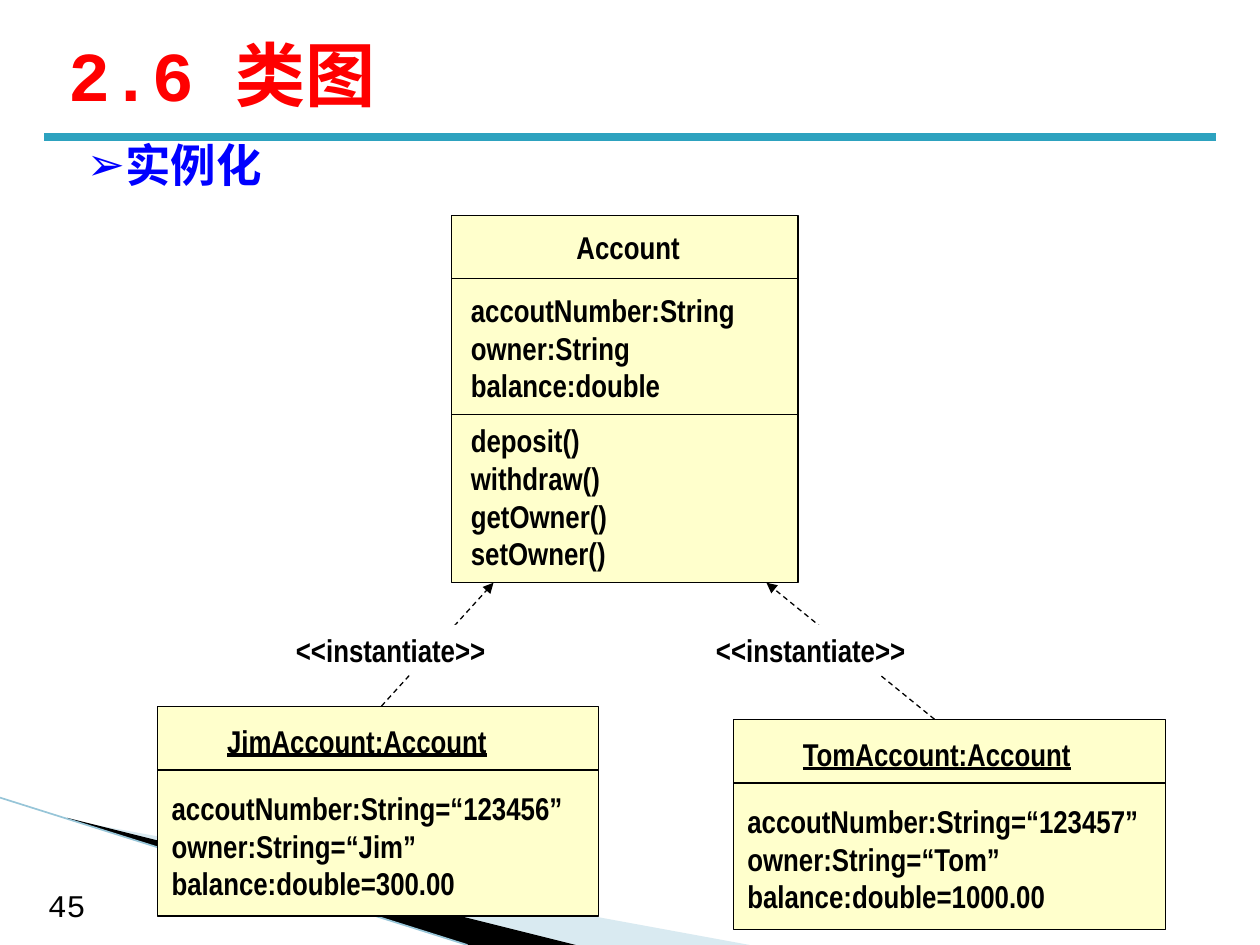
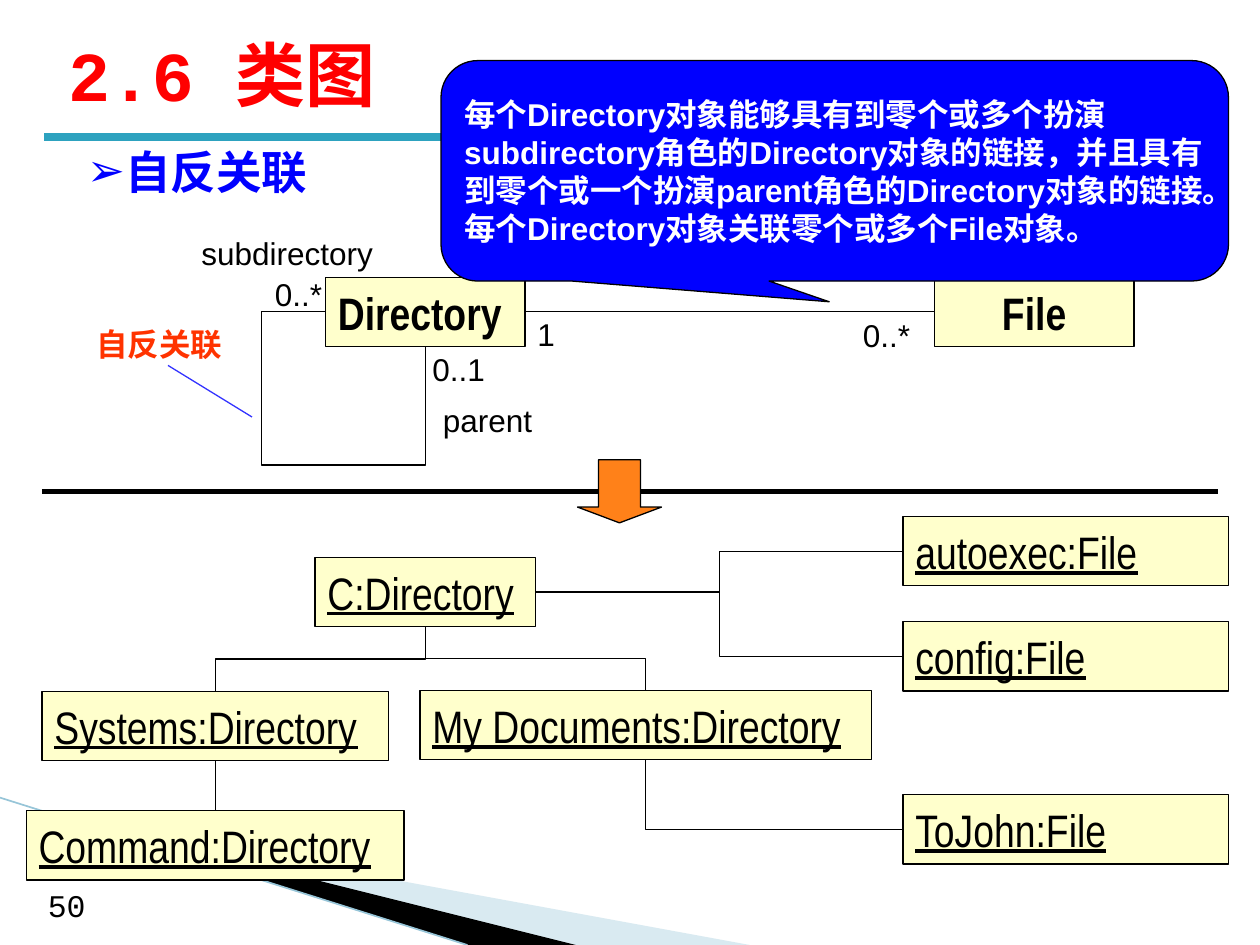
from dataclasses import dataclass

from lxml import etree
from pptx import Presentation
from pptx import util as u
from pptx.dml.color import RGBColor
from pptx.enum import dml, shapes, text
from pptx.oxml.ns import qn

COLORS = {
    "title": "FF0000", "topic": "0000FF", "rule": "2DA2BF", "ink": "000000",
    "paper": "FFFFFF", "box": "FFFFCC", "swoosh": "A0CBDC", "edge": "97C5D8",
    "note": "FF3300", "pointer": "3333FF", "arrow": "FF8119", "callout": "0000FF",
}
SANS, NARROW, MONO = "Arial", "Arial Narrow", "Courier New"
TOP, LEFT, BOTTOM, RIGHT = range(4)
STRAIGHT, ELBOW = shapes.MSO_CONNECTOR.STRAIGHT, shapes.MSO_CONNECTOR.ELBOW
RECT = shapes.MSO_SHAPE.RECTANGLE


@dataclass(frozen=True)
class Style:
    size: float
    font: str = SANS
    color: str = "ink"
    bold: bool = False
    underline: bool = False


@dataclass(frozen=True)
class Section:
    rule: float
    gap: float
    lines: tuple[str, ...]


@dataclass(frozen=True)
class ClassBox:
    left: float
    top: float
    width: float
    height: float
    name: str
    name_offset: tuple[float, float]
    name_width: float
    indent: float
    sections: tuple[Section, ...]
    instance: bool = True


@dataclass(frozen=True)
class Node:
    name: str
    left: float
    top: float
    width: float


@dataclass(frozen=True)
class Label:
    words: str
    left: float
    top: float
    width: float
    style: Style = Style(18)


@dataclass(frozen=True)
class Link:
    begin: str
    begin_side: int
    end: str
    end_side: int
    preset: str = "bentConnector3"
    adjust: tuple[float, ...] = (0.5,)


MEMBER = Style(18, NARROW, bold=True)
CLASS_NAME = Style(26, NARROW, bold=True)
OBJECT_NAME = Style(26, NARROW, underline=True)
NODE_HEIGHT = 39.6


def rgb(name: str) -> RGBColor:
    return RGBColor.from_string(COLORS[name])


def write(frame, lines: tuple[str, ...], style: Style, align=text.PP_ALIGN.LEFT,
          anchor=text.MSO_ANCHOR.TOP) -> None:
    frame.text = "\n".join(lines)
    frame.word_wrap = True
    frame.auto_size = text.MSO_AUTO_SIZE.NONE
    frame.vertical_anchor = anchor
    for paragraph in frame.paragraphs:
        paragraph.alignment = align
        paragraph.space_before = u.Pt(0)
        for run in paragraph.runs:
            run.font.size = u.Pt(style.size)
            run.font.name = style.font
            run.font.bold = style.bold
            run.font.underline = style.underline
            run.font.color.rgb = rgb(style.color)


def place(shape, left: float, top: float, width: float, height: float) -> None:
    shape.left, shape.top = u.Pt(left), u.Pt(top)
    shape.width, shape.height = u.Pt(width), u.Pt(height)


def add_text(slide, left: float, top: float, width: float, lines: tuple[str, ...],
             style: Style, align=text.PP_ALIGN.LEFT):
    height = 7.2 + 1.2 * style.size * len(lines)
    words = slide.shapes.add_textbox(u.Pt(left), u.Pt(top), u.Pt(width), u.Pt(height))
    write(words.text_frame, lines, style, align)
    return words


def add_block(slide, kind, left: float, top: float, width: float, height: float, fill: str):
    block = slide.shapes.add_shape(kind, u.Pt(left), u.Pt(top), u.Pt(width), u.Pt(height))
    block.shadow.inherit = False
    block.fill.solid()
    block.fill.fore_color.rgb = rgb(fill)
    block.line.color.rgb = rgb("ink")
    block.line.width = u.Pt(0.75)
    return block


def add_line(slide, x1: float, y1: float, x2: float, y2: float, color: str = "ink",
             weight: float = 0.75, kind=STRAIGHT):
    line = slide.shapes.add_connector(kind, u.Pt(x1), u.Pt(y1), u.Pt(x2), u.Pt(y2))
    line.line.color.rgb = rgb(color)
    line.line.width = u.Pt(weight)
    etree.SubElement(line.element.spPr, qn("a:effectLst"))
    return line


def add_dependency(slide, x1: float, y1: float, x2: float, y2: float) -> None:
    arrow = add_line(slide, x1, y1, x2, y2)
    arrow.line.dash_style = dml.MSO_LINE.DASH
    head = etree.SubElement(arrow.element.spPr.find(qn("a:ln")), qn("a:tailEnd"))
    head.set("type", "triangle")


def add_link(slide, nodes: dict, link: Link) -> None:
    straight = link.preset == "line"
    line = add_line(slide, 0, 0, 1, 1, kind=STRAIGHT if straight else ELBOW)
    line.begin_connect(nodes[link.begin], link.begin_side)
    line.end_connect(nodes[link.end], link.end_side)
    if straight:
        return
    geometry = line.element.spPr.find(qn("a:prstGeom"))
    geometry.set("prst", link.preset)
    guides = geometry.find(qn("a:avLst"))
    for number, value in enumerate(link.adjust, 1):
        guide = etree.SubElement(guides, qn("a:gd"))
        guide.set("name", f"adj{number}")
        guide.set("fmla", f"val {round(value * 100000)}")
    if link.begin_side == BOTTOM:
        turn_upright(line)


def turn_upright(line) -> None:
    x1, y1, x2, y2 = line.begin_x, line.begin_y, line.end_x, line.end_y
    across, down = x2 - x1, y2 - y1
    width, height = abs(down), abs(across)
    line.left, line.top = (x1 + x2 - width) // 2, (y1 + y2 - height) // 2
    line.width, line.height = width, height
    frame = line.element.spPr.find(qn("a:xfrm"))
    quarter = across < 0 < down
    frame.set("rot", str((90 if quarter else 270) * 60000))
    frame.set("flipH", str(int(down > 0 and not quarter)))
    frame.set("flipV", str(int(across < 0 and not quarter)))


def add_swoosh(slide, points: tuple[tuple[float, float], ...], color: str, opacity: int) -> None:
    start, *rest = [(u.Pt(x), u.Pt(y)) for x, y in points]
    builder = slide.shapes.build_freeform(*start, scale=1.0)
    builder.add_line_segments(rest, close=True)
    swoosh = builder.convert_to_shape()
    swoosh.shadow.inherit = False
    swoosh.fill.solid()
    swoosh.fill.fore_color.rgb = rgb(color)
    swoosh.line.fill.background()
    if opacity < 100:
        solid = swoosh.element.spPr.find(qn("a:solidFill"))
        etree.SubElement(solid[0], qn("a:alpha")).set("val", str(opacity * 1000))


def start_slide(deck, number: str, topic: str, topic_top: float):
    slide = deck.slides.add_slide(deck.slide_layouts[1])
    add_swoosh(slide, ((39.6, 468.7), (428.4, 540), (328.3, 540), (39.6, 468)), "swoosh", 40)
    add_swoosh(slide, ((38.2, 467.3), (329, 540), (267.8, 540), (38.9, 468)), "ink", 100)
    add_line(slide, 0, 455.8, 267.1, 540, "edge", 0.95)
    add_line(slide, 25.2, 78.5, 694.8, 78.5, "rule", 4.5)
    add_text(slide, 20.2, 502.6, 57, (number,), Style(18, MONO))

    title, body = slide.shapes.title, slide.placeholders[1]
    place(title, 31.7, 11.5, 648, 61.2)
    write(title.text_frame, ("2.6 类图",), Style(40, MONO, "title", bold=True),
          anchor=text.MSO_ANCHOR.MIDDLE)
    place(body, 42.5, topic_top, 617.8, 38.9)
    write(body.text_frame, (topic,), Style(26, SANS, "topic", bold=True))
    layout = body.text_frame.paragraphs[0]._p.get_or_add_pPr()
    layout.set("marL", "0")
    layout.set("indent", "0")
    etree.SubElement(layout, qn("a:buFont")).set("typeface", SANS)
    etree.SubElement(layout, qn("a:buChar")).set("char", "➢")
    return slide


def draw_class(slide, box: ClassBox) -> None:
    add_block(slide, RECT, box.left, box.top, box.width, box.height, "box")
    x, y = box.name_offset
    add_text(slide, box.left + x, box.top + y, box.name_width, (box.name,),
             Style(18, NARROW, bold=True, underline=box.instance),
             text.PP_ALIGN.LEFT if box.instance else text.PP_ALIGN.CENTER)
    for section in box.sections:
        y = box.top + section.rule
        add_line(slide, box.left, y, box.left + box.width, y)
        add_text(slide, box.left + box.indent, y + section.gap,
                 box.width - box.indent, section.lines, MEMBER)


def draw_node(slide, node: Node, style: Style, align=text.PP_ALIGN.LEFT):
    block = add_block(slide, RECT, node.left, node.top, node.width, NODE_HEIGHT, "box")
    write(block.text_frame, (node.name,), style, align, text.MSO_ANCHOR.MIDDLE)
    return block


def build_instances(deck) -> None:
    slide = start_slide(deck, "45", "实例化", 74.9)
    for owner, number, balance, left, top, width in (
        ("Jim", "123456", "300.00", 90, 403.5, 252),
        ("Tom", "123457", "1000.00", 419, 411, 247),
    ):
        fields = (f"accoutNumber:String=“{number}”", f"owner:String=“{owner}”",
                  f"balance:double={balance}")
        draw_class(slide, ClassBox(left, top, width, 120, f"{owner}Account:Account",
                                   (32.7, 5.5), 190, 1, (Section(36.5, 7.2, fields),)))
    draw_class(slide, ClassBox(
        258, 123, 198, 210, "Account", (25.7, 3.7), 150.5, 4,
        (Section(36, 3.7, ("accoutNumber:String", "owner:String", "balance:double")),
         Section(114, 0, ("deposit()", "withdraw()", "getOwner()", "setOwner()"))),
        instance=False))
    add_dependency(slide, 218, 403.5, 282, 333)
    add_dependency(slide, 534, 411, 438, 333)
    for left in (162, 402):
        label = add_text(slide, left, 357.1, 168, ("<<instantiate>>",), MEMBER)
        label.fill.solid()
        label.fill.fore_color.rgb = rgb("paper")


def build_reflexive(deck) -> None:
    slide = start_slide(deck, "50", "自反关联", 78.5)
    nodes = {}
    for node, align in (
        (Node("Directory", 186, 158.4, 114), text.PP_ALIGN.LEFT),
        (Node("File", 534, 158.4, 114), text.PP_ALIGN.CENTER),
    ):
        nodes[node.name] = draw_node(slide, node, CLASS_NAME, align)
    for node in (
        Node("C:Directory", 180, 318.5, 126),
        Node("Systems:Directory", 24, 395, 198),
        Node("My Documents:Directory", 240, 394.6, 258),
        Node("Command:Directory", 15, 463.2, 216),
        Node("autoexec:File", 516, 295.2, 186),
        Node("config:File", 516, 355.2, 186),
        Node("ToJohn:File", 516, 454.2, 186),
    ):
        nodes[node.name] = draw_node(slide, node, OBJECT_NAME)
    for link in (
        Link("Directory", RIGHT, "File", LEFT, "line"),
        Link("Directory", BOTTOM, "Directory", LEFT, "bentConnector4", (-3.42, 1.64)),
        Link("C:Directory", BOTTOM, "Systems:Directory", TOP),
        Link("C:Directory", BOTTOM, "My Documents:Directory", TOP),
        Link("Systems:Directory", BOTTOM, "Command:Directory", TOP, "line"),
        Link("C:Directory", RIGHT, "autoexec:File", LEFT),
        Link("C:Directory", RIGHT, "config:File", LEFT),
        Link("My Documents:Directory", BOTTOM, "ToJohn:File", LEFT, "bentConnector2", ()),
    ):
        add_link(slide, nodes, link)
    for label in (
        Label("parent", 246, 225.4, 96),
        Label("1", 300, 176.4, 30),
        Label("subdirectory", 108, 130.3, 126),
        Label("0..*", 486, 177.1, 48),
        Label("0..1", 240, 196.6, 48),
        Label("0..*", 150, 153.4, 48),
        Label("自反关联", 48, 182.2, 96, Style(18, SANS, "note", bold=True)),
    ):
        add_text(slide, label.left, label.top, label.width, (label.words,), label.style)
    add_line(slide, 96, 208.8, 144, 238.3, "pointer")
    add_line(slide, 24, 280.8, 696, 280.8, weight=3)
    add_block(slide, shapes.MSO_SHAPE.DOWN_ARROW, 330, 262.8, 48, 36, "arrow").adjustments[1] = 0.25

    callout = add_block(slide, shapes.MSO_SHAPE.ROUNDED_RECTANGULAR_CALLOUT,
                        252, 34.6, 450, 126, "callout")
    for index, value in enumerate((-0.007, 0.594, 0.167)):
        callout.adjustments[index] = value
    write(callout.text_frame, (
        "每个Directory对象能够具有到零个或多个扮演subdirectory角色的Directory对象的链接，"
        "并且具有到零个或一个扮演parent角色的Directory对象的链接。",
        "每个Directory对象关联零个或多个File对象。",
    ), Style(18, SANS, "paper", bold=True), anchor=text.MSO_ANCHOR.MIDDLE)


deck = Presentation()
deck.slide_width, deck.slide_height = u.Pt(720), u.Pt(540)
build_instances(deck)
build_reflexive(deck)
deck.save("out.pptx")
